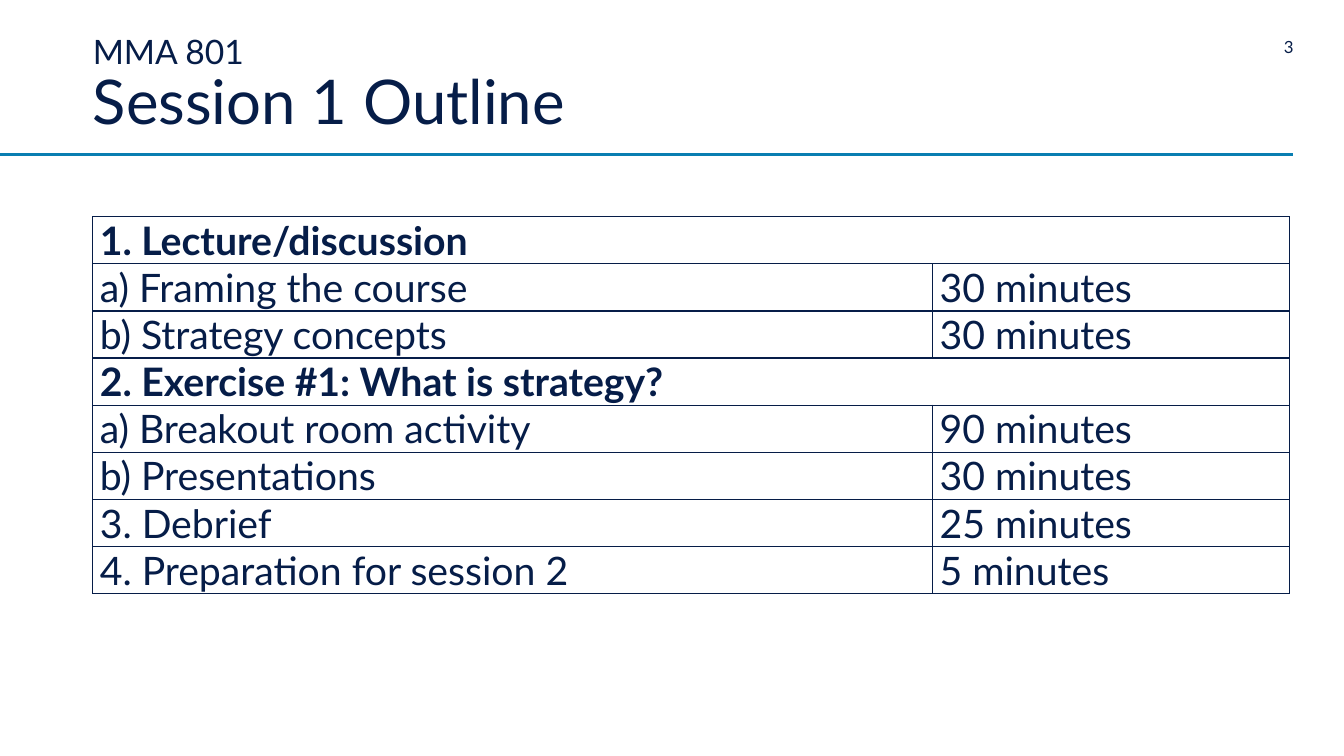
import lxml.etree
import pptx
import pptx.dml.color
import pptx.enum.shapes
import pptx.enum.text
import pptx.oxml
import pptx.oxml.ns
import pptx.util
from pptx.util import Inches

COLORS = {"navy": "061D48", "teal": "097EB1"}
OUTLINE = [
    ("1. Lecture/discussion", None),
    ("a) Framing the course", "30 minutes"),
    ("b) Strategy concepts", "30 minutes"),
    ("2. Exercise #1: What is strategy?", None),
    ("a) Breakout room activity", "90 minutes"),
    ("b) Presentations", "30 minutes"),
    ("3. Debrief", "25 minutes"),
    ("4. Preparation for session 2", "5 minutes"),
]


class SlideBuilder:
    """Draws styled elements on the current slide."""

    font = "Lato"

    def __init__(self, slide):
        self.slide = slide

    def color(self, name):
        return pptx.dml.color.RGBColor.from_string(COLORS[name])

    def span(self, para, text, size, bold=False):
        span = para.add_run()
        span.text = text
        span.font.name = self.font
        span.font.size = pptx.util.Pt(size)
        span.font.bold = bold
        span.font.color.rgb = self.color("navy")

    def text(self, left, top, width, height, lines, align, anchor, spacing=1.0):
        box = self.slide.shapes.add_textbox(
            Inches(left), Inches(top), Inches(width), Inches(height))
        frame = box.text_frame
        frame.word_wrap = True
        frame.vertical_anchor = anchor
        frame.margin_left = frame.margin_right = 0
        frame.margin_top = frame.margin_bottom = 0
        para = frame.paragraphs[0]
        para.alignment = align
        para.line_spacing = spacing
        for index, (text, size) in enumerate(lines):
            if index:
                para.add_line_break()
            self.span(para, text, size)

    def rule(self, left, top, right):
        line = self.slide.shapes.add_connector(
            pptx.enum.shapes.MSO_CONNECTOR.STRAIGHT,
            Inches(left), Inches(top), Inches(right), Inches(top))
        line.line.color.rgb = self.color("teal")
        line.line.width = pptx.util.Pt(2.25)
        lxml.etree.SubElement(
            line._element.spPr, pptx.oxml.ns.qn("a:effectLst"))

    def borders(self, cell):
        properties = cell._tc.get_or_add_tcPr()
        for index, side in enumerate(("lnL", "lnR", "lnT", "lnB")):
            properties.insert(index, pptx.oxml.parse_xml(
                f'<a:{side} {pptx.oxml.ns.nsdecls("a")} w="{pptx.util.Pt(1)}">'
                f'<a:solidFill><a:srgbClr val="{COLORS["navy"]}"/></a:solidFill>'
                f'</a:{side}>'))

    def table(self, left, top, widths, row_height, rows, size):
        table = self.slide.shapes.add_table(
            len(rows), len(widths), Inches(left), Inches(top),
            Inches(sum(widths)), Inches(row_height * len(rows))).table
        table.first_row = table.horz_banding = False
        for column, width in zip(table.columns, widths):
            column.width = Inches(width)
        for row, texts in enumerate(rows):
            heading = texts[1] is None
            for column, text in enumerate(texts):
                cell = table.cell(row, column)
                cell.margin_left = cell.margin_right = Inches(0.07)
                cell.margin_top = cell.margin_bottom = 0
                cell.fill.background()
                self.borders(cell)
                if text:
                    self.span(cell.text_frame.paragraphs[0], text, size, heading)
            if heading:
                table.cell(row, 0).merge(table.cell(row, 1))


def main():
    deck = pptx.Presentation()
    deck.slide_width, deck.slide_height = Inches(13.33), Inches(7.5)
    page = SlideBuilder(deck.slides.add_slide(deck.slide_layouts[6]))
    align = pptx.enum.text.PP_ALIGN
    anchor = pptx.enum.text.MSO_ANCHOR
    page.rule(0, 1.53, 12.82)
    page.text(12.42, 0.36, 0.41, 0.2, [("3", 12)], align.RIGHT, anchor.TOP)
    page.text(0.92, 0.34, 10.28, 1.03,
              [("MMA 801", 24), ("Session 1 Outline", 44)],
              align.LEFT, anchor.BOTTOM, 0.9)
    page.table(0.92, 2.15, (8.33, 3.54), 0.46, OUTLINE, 28)
    deck.save("out.pptx")


if __name__ == "__main__":
    main()
